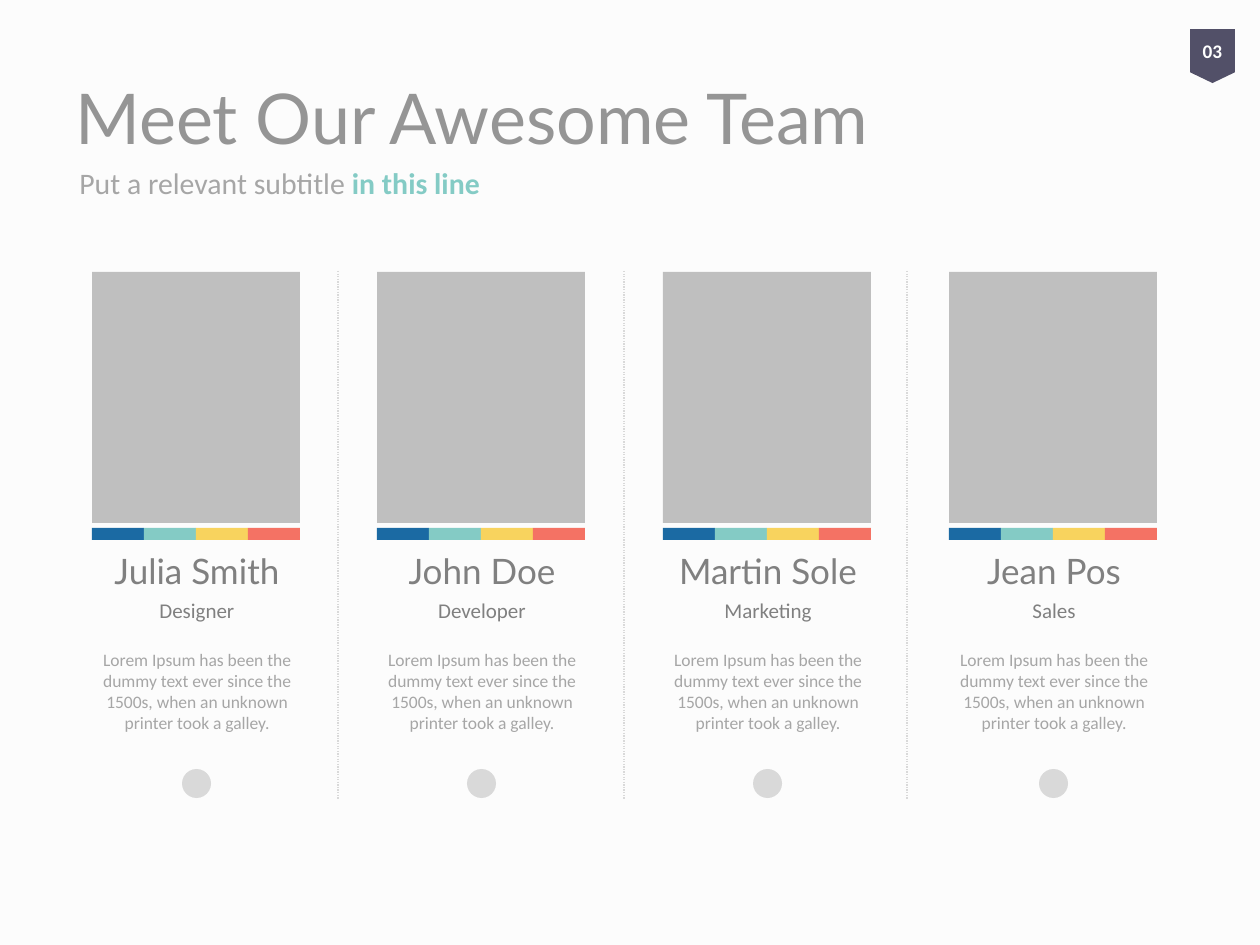
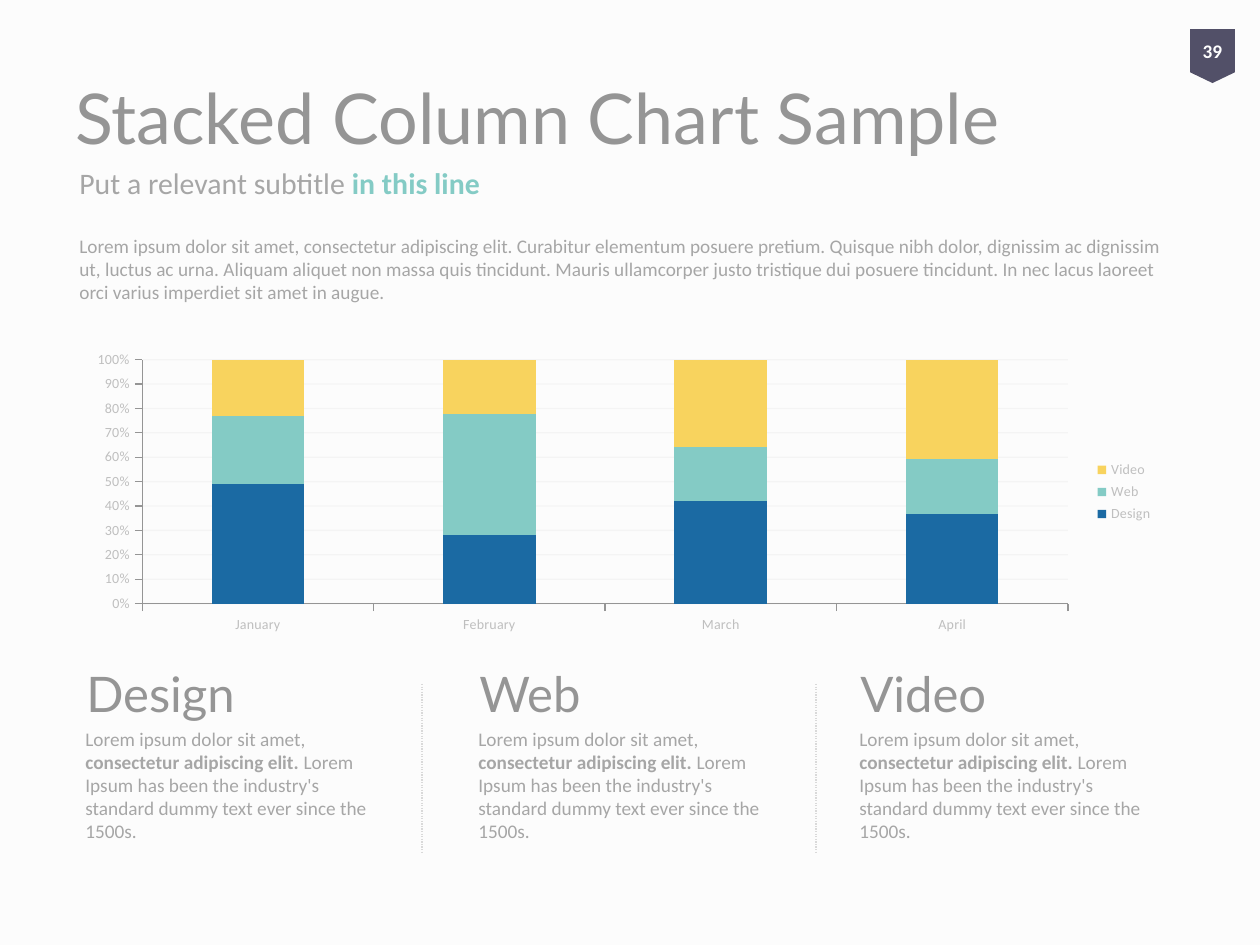
import dataclasses

import pptx
import pptx.chart.data
import pptx.dml.color
import pptx.enum.chart
import pptx.enum.dml
import pptx.enum.shapes
import pptx.enum.text
import pptx.oxml
import pptx.oxml.ns
import pptx.util

EMU_PER_PX = 914400 / 126
SHAPES = pptx.enum.shapes.MSO_SHAPE
ALIGN = pptx.enum.text.PP_ALIGN
ANCHOR = pptx.enum.text.MSO_ANCHOR


@dataclasses.dataclass(frozen=True)
class Theme:
    background: str = "FCFCFC"
    heading: str = "959595"
    name: str = "808080"
    body: str = "A6A6A6"
    chart_text: str = "BFBFBF"
    photo: str = "BFBFBF"
    pale: str = "D9D9D9"
    badge: str = "525068"
    white: str = "FFFFFF"
    blue: str = "1B6AA3"
    teal: str = "84CBC5"
    yellow: str = "F8D35E"
    coral: str = "F47264"
    heading_font: str = "Lato"
    body_font: str = "Calibri"
    title_size: int = 40
    column_size: int = 28
    name_size: int = 20
    subtitle_size: int = 17
    role_size: int = 12
    text_size: int = 11
    bio_size: int = 10
    chart_size: int = 8


THEME = Theme()
TEAM = [("Julia Smith", "Designer"), ("John Doe", "Developer"),
        ("Martin Sole", "Marketing"), ("Jean Pos", "Sales")]
BIO = ("Lorem Ipsum has been the dummy text ever since the 1500s, "
       "when an unknown printer took a galley.")
INTRO = ("Lorem ipsum dolor sit amet, consectetur adipiscing elit. Curabitur elementum "
         "posuere pretium. Quisque nibh dolor, dignissim ac dignissim ut, luctus ac urna. "
         "Aliquam aliquet non massa quis tincidunt. Mauris ullamcorper justo tristique dui "
         "posuere tincidunt. In nec lacus laoreet orci varius imperdiet sit amet in augue.")
MONTHS = ["January", "February", "March", "April"]
SERIES = [("Design", [49, 28, 42, 37], THEME.blue),
          ("Web", [28, 49, 22, 23], THEME.teal),
          ("Video", [23, 22, 36, 41], THEME.yellow)]


def px(length):
    return pptx.util.Emu(round(length * EMU_PER_PX))


def box(left, top, width, height):
    return px(left), px(top), px(width), px(height)


def rgb(value):
    return pptx.dml.color.RGBColor.from_string(value)


def style_font(font, size, color, name=THEME.body_font):
    font.size = pptx.util.Pt(size)
    font.name = name
    font.color.rgb = rgb(color)


def add_text(slide, bounds, runs, size, color, font=THEME.body_font,
             align=ALIGN.LEFT, anchor=ANCHOR.TOP):
    """Add one paragraph; runs is a list of (text, overrides) pairs or a string."""
    frame = slide.shapes.add_textbox(*box(*bounds)).text_frame
    frame.word_wrap = True
    frame.vertical_anchor = anchor
    paragraph = frame.paragraphs[0]
    paragraph.alignment = align
    style_font(paragraph.font, size, color, font)
    for text, bold, run_color in [(runs, False, None)] if isinstance(runs, str) else runs:
        run = paragraph.add_run()
        run.text = text
        if bold:
            run.font.bold = True
        if run_color:
            run.font.color.rgb = rgb(run_color)


def add_block(slide, kind, bounds, color):
    shape = slide.shapes.add_shape(kind, *box(*bounds))
    shape.shadow.inherit = False
    shape.fill.solid()
    shape.fill.fore_color.rgb = rgb(color)
    shape.line.fill.background()
    return shape


def add_divider(slide, x, top, bottom):
    line = slide.shapes.add_connector(
        pptx.enum.shapes.MSO_CONNECTOR.STRAIGHT, px(x), px(top), px(x), px(bottom))
    line.line.color.rgb = rgb(THEME.pale)
    line.line.width = pptx.util.Pt(0.75)
    line.line.dash_style = pptx.enum.dml.MSO_LINE.ROUND_DOT
    line._element.spPr.append(pptx.oxml.parse_xml(
        f"<a:effectLst {pptx.oxml.ns.nsdecls('a')}/>"))


def add_page_badge(slide, number):
    badge = add_block(slide, SHAPES.FLOWCHART_OFFPAGE_CONNECTOR, (1190, 29, 45, 54), THEME.badge)
    frame = badge.text_frame
    frame.margin_left = frame.margin_right = frame.margin_top = frame.margin_bottom = 0
    frame.vertical_anchor = ANCHOR.MIDDLE
    paragraph = frame.paragraphs[0]
    paragraph.text = number
    paragraph.alignment = ALIGN.CENTER
    paragraph.font.bold = True
    style_font(paragraph.font, THEME.text_size, THEME.white)


def add_base_slide(presentation, title, number):
    """Add a slide with the shared background, title, subtitle and page badge."""
    slide = presentation.slides.add_slide(presentation.slide_layouts[6])
    slide.background.fill.solid()
    slide.background.fill.fore_color.rgb = rgb(THEME.background)
    add_text(slide, (63, 38, 1134, 157), title, THEME.title_size, THEME.heading,
             THEME.heading_font, anchor=ANCHOR.MIDDLE)
    add_text(slide, (67, 149, 1134, 67),
             [("Put a relevant subtitle ", False, None), ("in this line", True, THEME.teal)],
             THEME.subtitle_size, THEME.body, anchor=ANCHOR.MIDDLE)
    add_page_badge(slide, number)
    return slide


def add_member(slide, left, name, role):
    center = left + 105
    add_block(slide, SHAPES.RECTANGLE, (left, 272, 208, 251), THEME.photo)
    for index, color in enumerate([THEME.blue, THEME.teal, THEME.yellow, THEME.coral]):
        add_block(slide, SHAPES.RECTANGLE, (left + 52 * index, 528, 52, 12), color)
    for text, top, width, height, size, color, font in [
            (name, 543, 208, 84, THEME.name_size, THEME.name, THEME.heading_font),
            (role, 591, 224, 60, THEME.role_size, THEME.name, THEME.body_font),
            (BIO, 643, 233, 108, THEME.bio_size, THEME.body, THEME.body_font)]:
        add_text(slide, (center - width / 2, top, width, height), text, size, color,
                 font, ALIGN.CENTER)
    add_block(slide, SHAPES.OVAL, (center - 15, 769, 29, 29), THEME.pale)


def style_axis(axis):
    axis.major_tick_mark = pptx.enum.chart.XL_TICK_MARK.OUTSIDE
    axis.minor_tick_mark = pptx.enum.chart.XL_TICK_MARK.NONE
    axis.format.line.color.rgb = rgb(THEME.heading)
    axis.format.line.width = pptx.util.Pt(0.75)


def set_plot_layout(chart, **fractions):
    """Fix the inner plot area as fractions of the chart frame."""
    plot_area = chart._chartSpace.chart.plotArea
    for old_layout in plot_area.findall(pptx.oxml.ns.qn("c:layout")):
        plot_area.remove(old_layout)
    sizes = "".join(f'<c:{key} val="{value}"/>' for key, value in fractions.items())
    plot_area.insert(0, pptx.oxml.parse_xml(
        f"<c:layout {pptx.oxml.ns.nsdecls('c')}><c:manualLayout>"
        '<c:layoutTarget val="inner"/><c:xMode val="edge"/><c:yMode val="edge"/>'
        f"{sizes}</c:manualLayout></c:layout>"))


def add_stacked_chart(slide, bounds):
    data = pptx.chart.data.CategoryChartData()
    data.categories = MONTHS
    for name, values, _ in SERIES:
        data.add_series(name, values)
    chart = slide.shapes.add_chart(
        pptx.enum.chart.XL_CHART_TYPE.COLUMN_STACKED_100, *box(*bounds), data).chart
    style_font(chart.font, THEME.chart_size, THEME.chart_text)
    chart.has_title = False
    chart.has_legend = True
    chart.legend.position = pptx.enum.chart.XL_LEGEND_POSITION.RIGHT
    chart.legend.include_in_layout = False

    plot = chart.plots[0]
    plot.gap_width = 150
    plot.overlap = 100
    plot.vary_by_categories = False
    for series, (_, _, color) in zip(plot.series, SERIES):
        series.format.fill.solid()
        series.format.fill.fore_color.rgb = rgb(color)

    style_axis(chart.category_axis)
    axis = chart.value_axis
    style_axis(axis)
    axis.major_unit = 0.1
    axis.tick_labels.number_format = "0%"
    axis.tick_labels.number_format_is_linked = False
    grid = axis.major_gridlines.format.line
    grid.width = pptx.util.Pt(0.75)
    grid.color.rgb = rgb(THEME.name)
    grid_color = axis.major_gridlines._xAx.find(
        ".//" + pptx.oxml.ns.qn("c:majorGridlines")).find(".//" + pptx.oxml.ns.qn("a:srgbClr"))
    grid_color.append(pptx.oxml.parse_xml(
        f'<a:alpha {pptx.oxml.ns.nsdecls("a")} val="6000"/>'))
    set_plot_layout(chart, x=0.06, y=0.05, w=0.85, h=0.83)


def add_topic(slide, left, heading):
    add_text(slide, (left, 721, 328, 134),
             [("Lorem ipsum dolor sit amet, ", False, None),
              ("consectetur adipiscing elit. ", True, None),
              ("Lorem Ipsum has been the industry's standard dummy text ever since the 1500s.",
               False, None)],
             THEME.text_size, THEME.body)
    add_text(slide, (left + 1, 644, 318, 98), heading, THEME.column_size, THEME.heading,
             THEME.heading_font, anchor=ANCHOR.MIDDLE)


def build_team_slide(presentation):
    slide = add_base_slide(presentation, "Meet Our Awesome Team", "03")
    first, last = 92, 949
    for index, (name, role) in enumerate(TEAM):
        add_member(slide, first + (last - first) * index // (len(TEAM) - 1), name, role)
    for x in (338, 624, 907):
        add_divider(slide, x, 271, 799)


def build_chart_slide(presentation):
    slide = add_base_slide(presentation, "Stacked Column Chart Sample", "39")
    add_text(slide, (67, 228, 1119, 112), INTRO, THEME.text_size, THEME.body)
    add_stacked_chart(slide, (77, 345, 1089, 294))
    for left, (name, _, _) in zip((73, 466, 847), SERIES):
        add_topic(slide, left, name)
    for x in (422, 816):
        add_divider(slide, x, 684, 853)


def main():
    presentation = pptx.Presentation()
    presentation.slide_width, presentation.slide_height = px(1260), px(945)
    build_team_slide(presentation)
    build_chart_slide(presentation)
    presentation.save("out.pptx")


if __name__ == "__main__":
    main()
